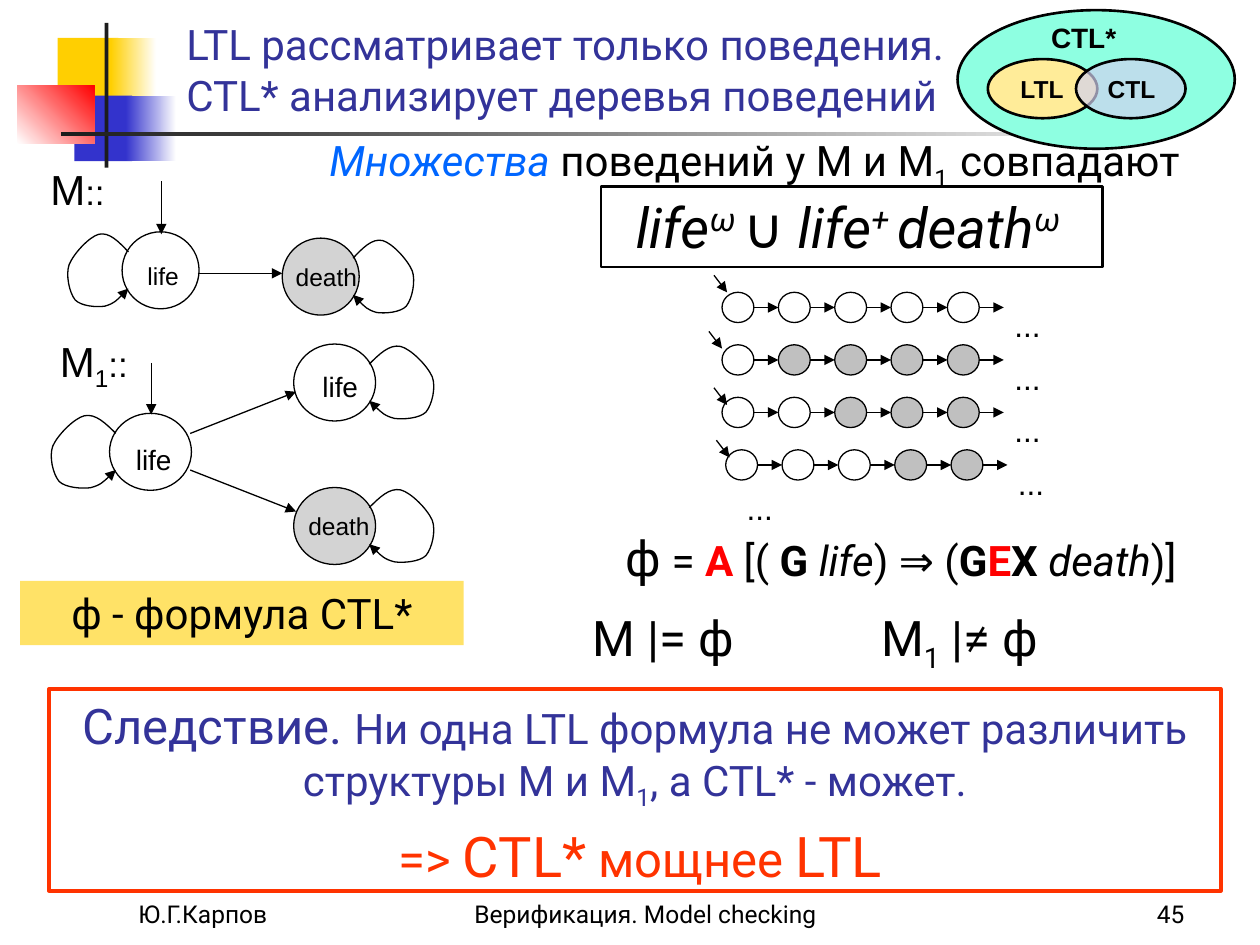
from dataclasses import dataclass
from typing import NamedTuple, Optional

from lxml.etree import SubElement
from pptx import Presentation
from pptx.dml.color import RGBColor as Rgb
from pptx.enum.shapes import MSO_CONNECTOR as Connector, MSO_SHAPE as Preset
from pptx.enum.text import MSO_ANCHOR as Anchor, PP_ALIGN as Align
from pptx.oxml.ns import qn
from pptx.util import Pt

COLORS = {
    "black": "000000", "white": "FFFFFF", "ink": "1C1C1C", "gold": "FFCF01", "blue": "3333CC",
    "red": "FF0000", "navy": "333399", "azure": "0066FF", "orange": "FF3300", "gray": "C0C0C0",
    "banner": "FFE267", "mint": "8EFFE1", "cream": "FFEC99", "lilac": "D1D1F0",
}
SUB, SUP = -25, 30


class Box(NamedTuple):
    left: float
    top: float
    width: float
    height: float


class Span(NamedTuple):
    text: str
    size: float
    color: str = "black"
    bold: bool = False
    italic: bool = False
    baseline: int = 0
    font: str = "Roboto"


@dataclass
class State:
    left: float
    top: float
    diameter: float
    label: str
    size: float
    label_shift: tuple[float, float]
    loop_side: int

    @property
    def dead(self) -> bool:
        return self.label == "death"


@dataclass
class Trace:
    left: float
    middle: float
    first_dead: int
    entry_tip: tuple[float, float]


def rgb(name: str) -> Rgb:
    return Rgb.from_string(COLORS[name])


def add_arrowhead(shape) -> None:
    SubElement(shape.element.spPr.find(qn("a:ln")), qn("a:tailEnd"), type="triangle")


def style_line(shape, color: Optional[str], width: float) -> None:
    if color is None:
        shape.line.fill.background()
        return
    shape.line.color.rgb = rgb(color)
    shape.line.width = Pt(width)


def add_figure(preset, box: Box, fill: Optional[str] = None, line: Optional[str] = None,
               width: float = 0.75, fade_to: Optional[str] = None, angle: float = 0,
               opacity: int = 100):
    """Draw a preset shape; fade_to turns the fill into a two-stop gradient."""
    shape = slide.shapes.add_shape(preset, *map(Pt, box))
    shape.shadow.inherit = False
    if fill is None:
        shape.fill.background()
    elif fade_to:
        shape.fill.gradient()
        shape.fill.gradient_angle = angle
        for stop, color in zip(shape.fill.gradient_stops, (fill, fade_to)):
            stop.color.rgb = rgb(color)
    else:
        shape.fill.solid()
        shape.fill.fore_color.rgb = rgb(fill)
        if opacity < 100:
            tint = shape.element.spPr.find(qn("a:solidFill"))[0]
            SubElement(tint, qn("a:alpha"), val=str(opacity * 1000))
    style_line(shape, line, width)
    return shape


def write(shape, *lines: list[Span], align=Align.CENTER, anchor=Anchor.TOP,
          wrap: bool = True, gap: float = 0) -> None:
    """Fill a shape with one paragraph per list of spans; gap separates paragraphs."""
    frame = shape.text_frame
    frame.word_wrap, frame.vertical_anchor = wrap, anchor
    for number, spans in enumerate(lines):
        para = frame.add_paragraph() if number else frame.paragraphs[0]
        para.alignment = align
        if number:
            para.space_before = Pt(gap)
        for span in spans:
            if span.text == "\n":
                para.add_line_break()
                continue
            run = para.add_run()
            run.text = span.text
            font = run.font
            font.name, font.size = span.font, Pt(span.size)
            font.bold, font.italic = span.bold, span.italic
            font.color.rgb = rgb(span.color)
            if span.baseline:
                run._r.get_or_add_rPr().set("baseline", str(span.baseline * 1000))


def add_text(box: Box, *spans: Span, **layout) -> None:
    write(slide.shapes.add_textbox(*map(Pt, box)), list(spans), **layout)


def add_label(center: float, top: float, *spans: Span) -> None:
    add_text(Box(center - 30, top, 60, 26), *spans, wrap=False)


def add_arrow(x1: float, y1: float, x2: float, y2: float) -> None:
    arrow = slide.shapes.add_connector(Connector.STRAIGHT, *map(Pt, (x1, y1, x2, y2)))
    style_line(arrow, "black", 0.75)
    add_arrowhead(arrow)
    SubElement(arrow.element.spPr, qn("a:effectLst"))


LOOP = [(0, 11.5), (5.8, 5.8), (11.5, 0), (18, 1.4), (23.8, 2.9), (33.1, 12.2), (36, 18.7),
        (38.2, 24.5), (36, 34.6), (32.4, 38.9), (28.8, 42.5), (19.4, 43.2), (14.4, 42.5),
        (8.6, 41), (4.3, 36.7), (0, 32.4)]


def add_loop(x: float, top: float, stretch: float) -> None:
    """Draw a self-loop from x; a negative stretch turns it to the left."""
    points = [(Pt(x + dx * stretch), Pt(top + dy)) for dx, dy in LOOP]
    builder = slide.shapes.build_freeform(*points[0])
    builder.add_line_segments(points[1:], close=False)
    loop = builder.convert_to_shape()
    loop.shadow.inherit = False
    loop.fill.background()
    style_line(loop, "black", 0.75)
    add_arrowhead(loop)
    # Each three control points become one cubic curve.
    outline = next(loop.element.iter(qn("a:path")))
    segments = outline.findall(qn("a:lnTo"))
    for start in range(0, len(segments), 3):
        curve = SubElement(outline, qn("a:cubicBezTo"))
        for segment in segments[start:start + 3]:
            curve.append(segment[0])
            outline.remove(segment)


def add_state(state: State) -> None:
    size = state.diameter
    add_figure(Preset.OVAL, Box(state.left, state.top, size, 44),
               "gray" if state.dead else None, "black", opacity=69)
    dx, dy = state.label_shift
    add_label(state.left + size / 2 + dx, state.top + dy,
              Span(state.label, state.size, font="Arial"))
    edge = state.left + (size - 3.6 if state.loop_side > 0 else 3.6)
    add_loop(edge, state.top, state.loop_side * size / 46.8)


def add_trace(trace: Trace) -> None:
    pitch, width, height = 32.2, 18.2, 17.3
    for step in range(5):
        x = trace.left + step * pitch
        add_figure(Preset.OVAL, Box(x, trace.middle - height / 2, width, height),
                   "gray" if step >= trace.first_dead else "white", "black")
        add_arrow(x + width, trace.middle, x + pitch, trace.middle)
    add_label(trace.left + 174.5, trace.middle - 4.3, Span("...", 18, font="Arial"))
    x, y = trace.left + trace.entry_tip[0], trace.middle + trace.entry_tip[1]
    add_arrow(x - 7.5, y - 9.8, x, y)


deck = Presentation()
deck.slide_width, deck.slide_height = Pt(720), Pt(540)
slide = deck.slides.add_slide(deck.slide_layouts[6])

for box, fill, fade_to, angle in [
    (Box(33, 21.6, 34.6, 37.4), "gold", None, 0),
    (Box(63.4, 21.6, 25.9, 37.4), "gold", "white", 0),
    (Box(42.5, 54.7, 33.1, 37.4), "blue", None, 0),
    (Box(72, 54.7, 28.8, 37.4), "blue", "white", 0),
    (Box(10, 49, 44, 33.1), "white", "red", 45),
    (Box(59.8, 13, 2.2, 82.8), "ink", None, 0),
    (Box(34.6, 75.6, 648, 2.2), "ink", "white", 0),
]:
    add_figure(Preset.RECTANGLE, box, fill, fade_to=fade_to, angle=angle)

for left, width, text, align in [
    (72, 150, "Ю.Г.Карпов", Align.LEFT),
    (264, 228, "Верификация. Model checking", Align.LEFT),
    (534, 150, "45", Align.RIGHT),
]:
    add_text(Box(left, 498, width, 36), Span(text, 14), align=align, anchor=Anchor.BOTTOM)

add_text(Box(99.4, 23.8, 607, 48.2), Span("LTL рассматривает только поведения.", 24, "navy"),
         Span("\n", 24), Span("CTL* анализирует деревья поведений", 24, "navy"),
         align=Align.LEFT, anchor=Anchor.BOTTOM)

for state in [
    State(69.8, 132.5, 44, "life", 14, (1.4, 13), -1),
    State(161.3, 136.1, 44, "death", 14, (3.2, 10), 1),
    State(62.6, 236.2, 46.8, "life", 16, (1.8, 13), -1),
    State(167.8, 196.6, 46.8, "life", 16, (3.2, 10.8), 1),
    State(167.8, 278.6, 46.8, "death", 14, (2.5, 10), 1),
]:
    add_state(state)
for ends in [(92.2, 103.7, 92.2, 133.9), (113, 156.2, 161.3, 156.2), (86.4, 207.4, 86.4, 236.9),
             (108.7, 247.7, 169.2, 223.9), (108.7, 268.6, 169.2, 292.3)]:
    add_arrow(*ends)

add_label(44.3, 90, Span("M", 24, font="Arial"), Span("::", 20, font="Arial"))
add_label(53.6, 188, Span("M", 24, font="Arial"), Span("1", 24, baseline=SUB, font="Arial"),
          Span("::", 20, font="Arial"))
add_text(Box(320.4, 343.4, 124.6, 41), Span("M |= ϕ ", 28))
add_text(Box(489.6, 343.4, 124.6, 41), Span("M", 28), Span("1", 28, baseline=SUB),
         Span(" |≠ ϕ ", 28))
add_text(Box(174.2, 73.4, 514, 36.7), Span("Множества", 24, "azure", italic=True),
         Span(" поведений у М и М", 24), Span("1  ", 24, baseline=SUB), Span("совпадают", 24))

conclusion = add_figure(Preset.RECTANGLE, Box(28, 393.8, 669.6, 115.2), None, "orange", 2.25)
write(conclusion,
      [Span("Следствие. ", 28, "navy"),
       Span("Ни одна LTL формула не может различить структуры М и М", 24, "navy"),
       Span("1", 24, "navy", baseline=SUB), Span(", а CTL* - может.", 24, "navy")],
      [Span(" ", 24, "orange"), Span("=> ", 28, "orange"), Span("CTL*", 32, "orange"),
       Span(" мощнее ", 28, "orange"), Span("LTL", 32, "orange")], gap=6)

behaviours = add_figure(Preset.RECTANGLE, Box(343.4, 106.6, 286.6, 46), None, "black", 1.5)
write(behaviours, [Span(text, 32, italic=True, baseline=baseline) for text, baseline in [
    ("life", 0), ("ω ", SUP), ("∪ life", 0), ("+ ", SUP), ("death", 0), ("ω ", SUP)]])

for trace in [
    Trace(412.6, 175.7, 5, (2.9, -8.6)),
    Trace(412.6, 205.7, 1, (0, -6.5)),
    Trace(412.6, 235.7, 2, (2.9, -4.3)),
    Trace(414.7, 265.7, 3, (2.2, -4.3)),
]:
    add_trace(trace)
add_label(434.2, 275.8, Span("...", 18, font="Arial"))

add_text(Box(332, 298, 365.8, 41), Span("ϕ", 28), Span(" = ", 24),
         Span("A ", 24, "red", bold=True), Span("[( ", 24), Span("G ", 24, bold=True),
         Span("life", 24, italic=True), Span(") ⇒ (", 24), Span("G", 24, bold=True),
         Span("E", 24, "red", bold=True), Span("X ", 24, bold=True),
         Span("death", 24, italic=True), Span(")]", 24))
banner = add_figure(Preset.RECTANGLE, Box(11.5, 332, 253.4, 36.7), "banner")
write(banner, [Span("ϕ - формула CTL*", 24)])

for box, fill, opacity, label, size, center, top in [
    (Box(547.2, 5.8, 158.4, 79.2), "mint", 100, "CTL*", 16, 619.2, 7.9),
    (Box(564.5, 33.8, 62.6, 33.8), "cream", 100, "LTL", 14, 595.4, 38.9),
    (Box(614.9, 33.8, 62.6, 33.8), "lilac", 69, "CTL", 14, 646.6, 38.9),
]:
    add_figure(Preset.OVAL, box, fill, "black", 1.5, opacity=opacity)
    add_label(center, top, Span(label, size, bold=True, font="Arial"))

deck.save("out.pptx")
